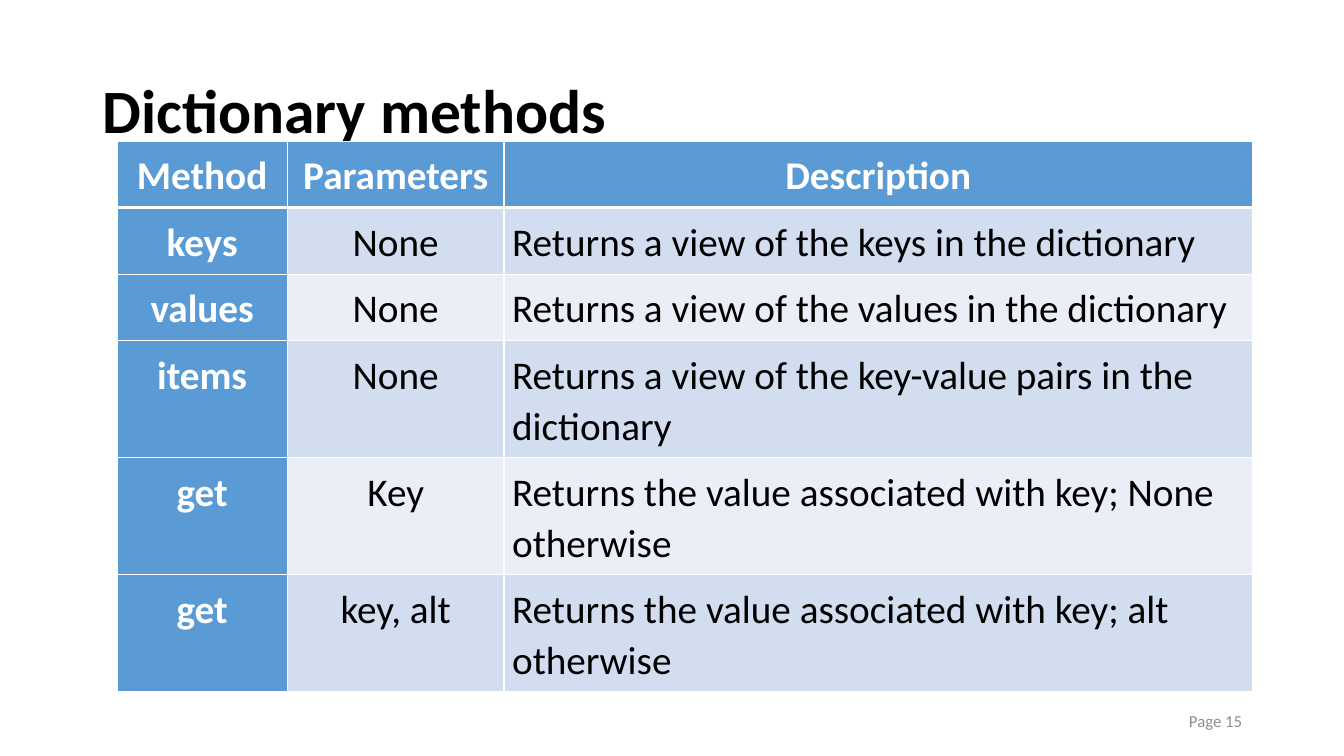
from lxml.etree import SubElement
from pptx import Presentation
from pptx.dml.color import RGBColor
from pptx.enum.text import MSO_ANCHOR as Anchor, PP_ALIGN as Align
from pptx.oxml.ns import qn
from pptx.util import Inches, Pt

BLACK = RGBColor(0x00, 0x00, 0x00)
WHITE = RGBColor(0xFF, 0xFF, 0xFF)
GRAY = RGBColor(0x8C, 0x8C, 0x8C)
BLUE = RGBColor(0x5B, 0x9B, 0xD5)
BANDS = (RGBColor(0xD2, 0xDE, 0xEF), RGBColor(0xEA, 0xEF, 0xF7))

METHODS = [
    ("Method", "Parameters", "Description"),
    ("keys", "None", "Returns a view of the keys in the dictionary"),
    ("values", "None", "Returns a view of the values in the dictionary"),
    ("items", "None", "Returns a view of the key-value pairs in the dictionary"),
    ("get", "Key", "Returns the value associated with key; None otherwise"),
    ("get", "key, alt", "Returns the value associated with key; alt otherwise"),
]
COLUMN_WIDTHS = (1.69, 2.15, 7.42)
ROW_HEIGHTS = (0.65, 0.65, 0.65, 0.99, 0.99, 0.99)


class SlideBuilder:
    """Holds the text style and the current slide."""

    font = "Calibri"
    cell_margin = Inches(0.08)

    def __init__(self, page):
        self.page = page

    def set_text(self, frame, text, size, color, bold=False, align=Align.LEFT, spacing=1.0):
        frame.text = text
        para = frame.paragraphs[0]
        para.alignment = align
        para.line_spacing = spacing
        font = para.runs[0].font
        font.name, font.size, font.bold = self.font, Pt(size), bold
        font.color.rgb = color

    def text_box(self, left, top, width, height, text, size, color, **style):
        box = self.page.shapes.add_textbox(
            Inches(left), Inches(top), Inches(width), Inches(height))
        frame = box.text_frame
        frame.word_wrap = True
        frame.vertical_anchor = Anchor.MIDDLE
        self.set_text(frame, text, size, color, **style)

    def border(self, cell, side, width):
        properties = cell._tc.get_or_add_tcPr()
        line = SubElement(properties, qn(f"a:ln{side}"), w=str(Pt(width)))
        fill = SubElement(line, qn("a:solidFill"))
        SubElement(fill, qn("a:srgbClr"), val=str(WHITE))

    def cell(self, cell, text, row, column):
        heading = row == 0 or column == 0
        centered = row == 0 or column < 2
        cell.margin_left = cell.margin_right = self.cell_margin
        cell.margin_top = cell.margin_bottom = self.cell_margin
        # The rule below the header row is thicker
        thick_side = {0: "B", 1: "T"}.get(row)
        for side in "LRTB":
            self.border(cell, side, 3 if side == thick_side else 1)
        cell.fill.solid()
        cell.fill.fore_color.rgb = BLUE if heading else BANDS[(row - 1) % 2]
        self.set_text(cell.text_frame, text, 28, WHITE if heading else BLACK,
                      bold=heading, spacing=1.07,
                      align=Align.CENTER if centered else Align.LEFT)

    def table(self, left, top, widths, heights, rows):
        table = self.page.shapes.add_table(
            len(heights), len(widths), Inches(left), Inches(top),
            Inches(sum(widths)), Inches(sum(heights))).table
        for column, width in zip(table.columns, widths):
            column.width = Inches(width)
        for row, height in zip(table.rows, heights):
            row.height = Inches(height)
        for r, texts in enumerate(rows):
            for c, text in enumerate(texts):
                self.cell(table.cell(r, c), text, r, c)


def main():
    deck = Presentation()
    deck.slide_width, deck.slide_height = Inches(13.33), Inches(7.5)
    builder = SlideBuilder(deck.slides.add_slide(deck.slide_layouts[6]))

    # Title
    builder.text_box(0.92, 0.4, 11.5, 1.45, "Dictionary methods", 44, BLACK,
                     bold=True, spacing=0.9)
    # Table of methods
    builder.table(1.16, 1.4, COLUMN_WIDTHS, ROW_HEIGHTS, METHODS)
    # Page number
    builder.text_box(9.42, 6.95, 3, 0.4, "Page 15", 12, GRAY, align=Align.RIGHT)

    deck.save("out.pptx")


if __name__ == "__main__":
    main()
